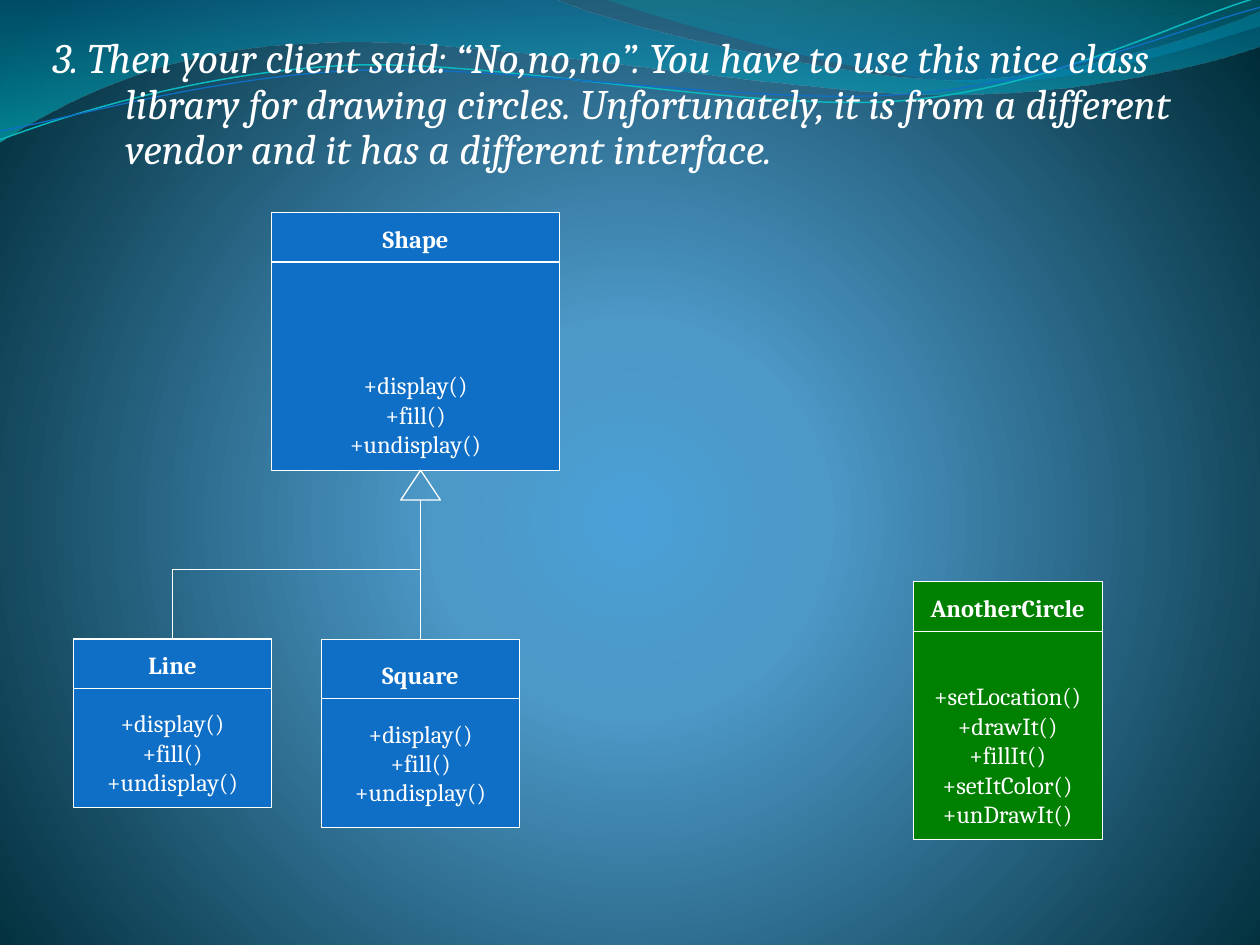
from lxml import etree
from pptx import Presentation
from pptx.dml.color import RGBColor
from pptx.enum.shapes import MSO_CONNECTOR, MSO_SHAPE
from pptx.enum.text import MSO_ANCHOR, PP_ALIGN
from pptx.oxml import parse_xml
from pptx.oxml.ns import nsdecls, qn
from pptx.util import Cm, Pt

WHITE = RGBColor(0xFF, 0xFF, 0xFF)
BLUE = RGBColor(0x0F, 0x6F, 0xC6)
GREEN = RGBColor(0x00, 0x80, 0x00)
CYAN = RGBColor(0x0A, 0xB8, 0xBF)
LINE_PITCH = 16.75  # points per 14 pt text line


def set_gradient(parent, stops, direction):
    """Replace the empty fill of parent; stops are (position, colour, opacity)."""
    gs = ""
    for pos, color, opacity in stops:
        alpha = f'<a:alpha val="{opacity * 1000}"/>' if opacity < 100 else ""
        gs += f'<a:gs pos="{pos * 1000}"><a:srgbClr val="{color}">{alpha}</a:srgbClr></a:gs>'
    grad = parse_xml(f'<a:gradFill {nsdecls("a")} rotWithShape="1">'
                     f'<a:gsLst>{gs}</a:gsLst>{direction}</a:gradFill>')
    parent.replace(parent.find(qn("a:noFill")), grad)


def add_wave(start, segments, close):
    """Draw straight (2 numbers) and cubic Bezier (6 numbers) segments in cm."""
    points = [(Cm(seg[i]), Cm(seg[i + 1]))
              for seg in segments for i in range(0, len(seg), 2)]
    fb = s.shapes.build_freeform(Cm(start[0]), Cm(start[1]))
    fb.add_line_segments(points, close=close)
    sp = fb.convert_to_shape()
    # Merge the three points of each curved segment into one Bezier command
    steps = iter(list(sp.element.iter(qn("a:lnTo"))))
    for seg in segments:
        group = [next(steps) for _ in range(len(seg) // 2)]
        if len(group) == 3:
            curve = etree.Element(qn("a:cubicBezTo"))
            group[0].addprevious(curve)
            for step in group:
                curve.append(step[0])
                step.getparent().remove(step)
    sp.shadow.inherit = False
    sp.fill.background()
    return sp


prs = Presentation()
prs.slide_width, prs.slide_height = Cm(25.4), Cm(19.05)
s = prs.slides.add_slide(prs.slide_layouts[6])

# Background
s.background.fill.background()
set_gradient(
    s.element.find(".//" + qn("p:bgPr")),
    [(0, "4AA0D6", 100), (25, "4C98C7", 100), (100, "002C38", 100)],
    '<a:path path="circle">'
    '<a:fillToRect l="10000" t="110000" r="10000" b="100000"/></a:path>')

# Filled waves
bands = [
    ((0, 0),
     [(11.18, -0.03), (12.09, 0.43, 16.87, 1.6, 19.25, 1.6),
      (21.67, 1.6, 24.33, 0.66, 25.4, 0.23), (25.43, 0.91),
      (24.97, 1.12, 22.1, 1.93, 18.95, 1.9), (15.8, 1.9, 9.7, 0.71, 6.53, 0.86),
      (3.28, 0.91, 1.17, 2.11, -0.03, 2.87), (0, 0)],
     [(0, "0074A1", 45), (100, "00C6CF", 55)]),
    ((12.17, -0.03),
     [(12.93, 0.28, 17.32, 1.57, 19.53, 1.65),
      (21.74, 1.75, 24.41, 0.81, 25.4, 0.53), (25.4, 0), (12.17, -0.03)],
     [(0, "00A1A9", 30), (80, "008BBF", 45)]),
]
for start, segments, stops in bands:
    sp = add_wave(start, segments, True)
    sp.line.fill.background()
    set_gradient(sp.element.spPr, stops, '<a:lin ang="5400000" scaled="0"/>')

# Thin wave lines, tilted
strands = [
    ((-0.05, 2.22),
     [(1.19, 1.82, 4.02, 1.04, 7.05, 1.05), (10.05, 1.07, 15.02, 2.37, 18.08, 2.29),
      (21.13, 2.2, 23.86, 0.91, 25.41, 0.55)], CYAN, 0.85),
    ((-0.04, 2.04),
     [(1.16, 1.9, 4.17, 1.15, 7.2, 1.16), (10.25, 1.18, 15.13, 2.25, 18.19, 2.16),
      (21.22, 2.1, 23.93, 1.06, 25.45, 0.75)], BLUE, 0.75),
]
for start, segments, color, width in strands:
    sp = add_wave(start, segments, False)
    sp.rotation = 357.3
    sp.line.color.rgb = color
    sp.line.width = Pt(width)

# Heading with hanging indent
tf = s.shapes.add_textbox(Cm(1.06), Cm(0.63), Cm(23.7), Cm(3.61)).text_frame
frame_format = {"word_wrap": True, "margin_left": 0, "margin_right": Cm(0.05),
                "margin_top": Cm(0.13), "margin_bottom": Cm(0.13)}
for name, value in frame_format.items():
    setattr(tf, name, value)
p = tf.paragraphs[0]
p.line_spacing = 0.9
pPr = p._p.get_or_add_pPr()
pPr.set("marL", str(Cm(1.47)))
pPr.set("indent", str(-Cm(1.47)))
r = p.add_run()
r.text = ("3. Then your client said: “No,no,no”. You have to use this nice class "
          "library for drawing circles. Unfortunately, it is from a different "
          "vendor and it has a different interface.")
for name, value in {"name": "Cambria", "size": Pt(24), "italic": True}.items():
    setattr(r.font, name, value)
r.font.color.rgb = WHITE

# Class boxes: name, position and size, divider height, gap in lines, fill, methods
shape_methods = ["+display()", "+fill()", "+undisplay()"]
circle_methods = ["+setLocation()", "+drawIt()", "+fillIt()", "+setItColor()",
                  "+unDrawIt()"]
classes = [
    ("Shape", (5.48, 4.28, 5.8, 5.2), 5.28, 4, BLUE, shape_methods),
    ("Line", (1.48, 12.88, 4, 3.4), 13.88, 1, BLUE, shape_methods),
    ("Square", (6.48, 12.89, 4, 3.79), 14.08, 1, BLUE, shape_methods),
    ("AnotherCircle", (18.41, 11.73, 3.81, 5.2), 12.73, 2, GREEN, circle_methods),
]
lines = []
for title, box, divider, gap, fill, methods in classes:
    sp = s.shapes.add_shape(MSO_SHAPE.RECTANGLE, *map(Cm, box))
    sp.shadow.inherit = False
    sp.fill.solid()
    sp.fill.fore_color.rgb = fill
    sp.line.color.rgb = WHITE
    sp.line.width = Pt(0.75)
    tf = sp.text_frame
    tf.word_wrap = False
    tf.vertical_anchor = MSO_ANCHOR.MIDDLE
    for i, text in enumerate([title] + methods):
        p = tf.paragraphs[0] if i == 0 else tf.add_paragraph()
        p.alignment = PP_ALIGN.CENTER
        if i == 1:
            p.space_before = Pt(gap * LINE_PITCH)
        r = p.add_run()
        r.text = text
        for name, value in {"name": "Cambria", "size": Pt(14), "bold": i == 0}.items():
            setattr(r.font, name, value)
        r.font.color.rgb = WHITE
    lines.append((box[0], divider, box[0] + box[2], divider))

# Dividers and inheritance tree
lines += [(3.48, 11.48, 3.48, 12.88), (8.48, 10.08, 8.48, 12.88),
          (3.48, 11.48, 8.48, 11.48)]
for ends in lines:
    cx = s.shapes.add_connector(MSO_CONNECTOR.STRAIGHT, *map(Cm, ends))
    cx.line.color.rgb = WHITE
    cx.line.width = Pt(0.75)
    etree.SubElement(cx.element.spPr, qn("a:effectLst"))

# Inheritance arrowhead
sp = s.shapes.add_shape(MSO_SHAPE.ISOSCELES_TRIANGLE, Cm(8.08), Cm(9.48), Cm(0.8), Cm(0.6))
sp.shadow.inherit = False
sp.fill.background()
sp.line.color.rgb = WHITE
sp.line.width = Pt(0.75)

prs.save("out.pptx")
